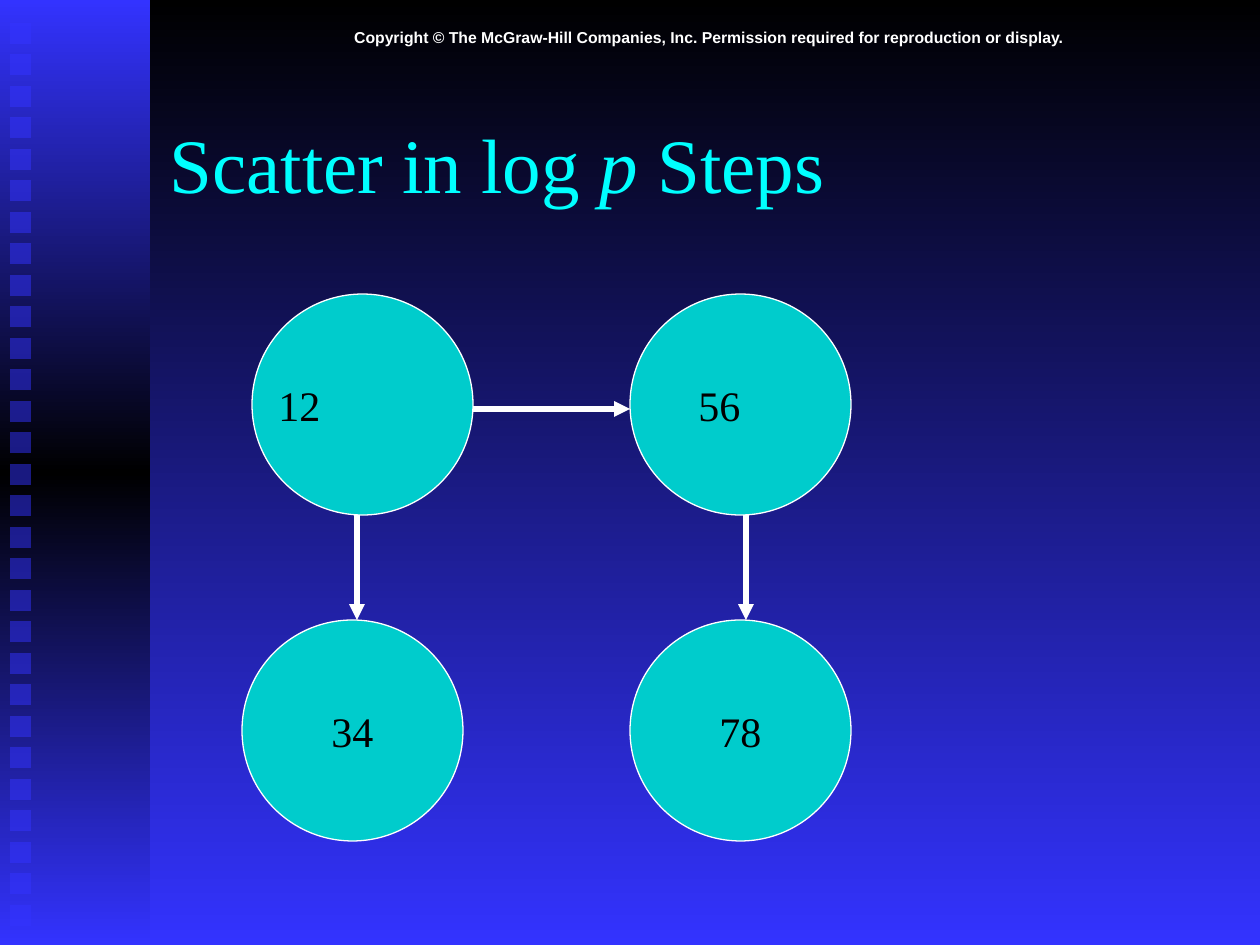
from copy import deepcopy
from dataclasses import dataclass

from lxml.etree import SubElement
from pptx import Presentation
from pptx.dml.color import RGBColor as RGB
from pptx.enum.shapes import MSO_CONNECTOR as CONNECTOR, MSO_SHAPE as SHAPE
from pptx.enum.text import MSO_ANCHOR as ANCHOR, MSO_AUTO_SIZE as AUTO_SIZE, PP_ALIGN as ALIGN
from pptx.oxml.ns import qn
from pptx.util import Pt

EMU_PER_PX = 914400 / 126


@dataclass(frozen=True)
class Theme:
    """Colours, fonts and point sizes of the slide."""

    blue: RGB = RGB(0x33, 0x33, 0xFF)
    black: RGB = RGB(0, 0, 0)
    white: RGB = RGB(0xFF, 0xFF, 0xFF)
    cyan: RGB = RGB(0, 0xFF, 0xFF)
    teal: RGB = RGB(0, 0xCC, 0xCC)
    serif: str = "Times New Roman"
    sans: str = "Arial"
    title: int = 44
    label: int = 24
    notice: int = 9


THEME = Theme()


def px(*values):
    """Convert pixel lengths to EMU."""
    return [round(v * EMU_PER_PX) for v in values]


def style(p, font, size, color, bold=False):
    """Format every run of a paragraph."""
    for r in p.runs:
        r.font.name, r.font.size, r.font.bold = font, Pt(size), bold
        r.font.color.rgb = color


def set_insets(tf, left=0, top=0, right=0, bottom=0):
    """Set the text margins in pixels."""
    tf.margin_left, tf.margin_top, tf.margin_right, tf.margin_bottom = px(left, top, right, bottom)


def fill_gradient(fill, element, colors):
    """Apply a top-to-bottom gradient with evenly spaced stops."""
    fill.gradient()
    fill.gradient_angle = 270
    stops = next(element.iter(qn("a:gsLst")))
    for _ in colors[2:]:
        stops.append(deepcopy(stops[-1]))
    for i, (stop, color) in enumerate(zip(fill.gradient_stops, colors)):
        stop.position = i / (len(colors) - 1)
        stop.color.rgb = color


def add_plain_shape(slide, kind, box):
    """Add a preset shape without shadow."""
    s = slide.shapes.add_shape(kind, *px(*box))
    s.shadow.inherit = False
    return s


def add_sidebar(slide, box):
    """Draw the gradient band and its column of translucent squares."""
    x, y, _, _ = box
    band = add_plain_shape(slide, SHAPE.RECTANGLE, box)
    fill_gradient(band.fill, band._element, [THEME.blue, THEME.black, THEME.blue])
    band.line.fill.background()
    for i in range(29):
        s = add_plain_shape(slide, SHAPE.RECTANGLE, (x + 10, y + 23 + i * 63 // 2, 21, 21))
        s.fill.solid()
        s.fill.fore_color.rgb = THEME.blue
        color = next(s._element.spPr.iter(qn("a:srgbClr")))
        SubElement(color, qn("a:alpha"), val="50000")
        s.line.fill.background()


def add_notice(slide, box, text):
    """Place the centred copyright line."""
    tf = slide.shapes.add_textbox(*px(*box)).text_frame
    tf.word_wrap = True
    tf.vertical_anchor = ANCHOR.MIDDLE
    set_insets(tf)
    tf.text = text
    p = tf.paragraphs[0]
    p.alignment = ALIGN.CENTER
    style(p, THEME.sans, THEME.notice, THEME.white, bold=True)


def add_title(slide, box, parts):
    """Fill the title placeholder with upright and italic parts."""
    s = slide.shapes.title
    s.left, s.top, s.width, s.height = px(*box)
    tf = s.text_frame
    tf.auto_size = AUTO_SIZE.NONE
    tf.vertical_anchor = ANCHOR.MIDDLE
    p = tf.paragraphs[0]
    p.alignment = ALIGN.LEFT
    for text, italic in parts:
        r = p.add_run()
        r.text = text
        r.font.italic = italic
    style(p, THEME.serif, THEME.title, THEME.cyan)


def add_node(slide, box, text, shift):
    """Draw a circle whose label sits shift pixels left of its centre."""
    s = add_plain_shape(slide, SHAPE.OVAL, box)
    s.fill.solid()
    s.fill.fore_color.rgb = THEME.teal
    s.line.color.rgb = THEME.white
    s.line.width = Pt(0.75)
    tf = s.text_frame
    tf.word_wrap = False
    tf.vertical_anchor = ANCHOR.MIDDLE
    set_insets(tf, top=6, right=2 * shift, bottom=6)
    tf.text = text
    p = tf.paragraphs[0]
    p.alignment = ALIGN.CENTER
    style(p, THEME.serif, THEME.label, THEME.black)


def add_arrow(slide, *ends):
    """Draw a white arrow between two points."""
    s = slide.shapes.add_connector(CONNECTOR.STRAIGHT, *px(*ends))
    s.line.color.rgb = THEME.white
    s.line.width = Pt(3)
    SubElement(s.line._get_or_add_ln(), qn("a:tailEnd"), type="triangle")
    SubElement(s._element.spPr, qn("a:effectLst"))


def add_scatter(slide, box):
    """Draw the four processes and the messages between them."""
    x, y, _, height = box
    d = 221
    low = height - d
    add_arrow(slide, x + 231, y + 115, x + 388, y + 115)
    for dx in (115, 504):
        add_arrow(slide, x + dx, y + d, x + dx, y + low)
    nodes = [("56", 388, 0, 21), ("12", 10, 0, 63), ("78", 388, low, 0), ("34", 0, low, 0)]
    for text, dx, dy, shift in nodes:
        add_node(slide, (x + dx, y + dy, d, d), text, shift)


def main():
    """Build and save the slide."""
    prs = Presentation()
    prs.slide_width, prs.slide_height = px(1260, 945)
    slide = prs.slides.add_slide(prs.slide_layouts[5])
    fill_gradient(slide.background.fill, slide._element, [THEME.black, THEME.blue])
    add_sidebar(slide, (0, 0, 150, 945))
    add_notice(slide, (157, 21, 1103, 32),
               "Copyright © The McGraw-Hill Companies, Inc. "
               "Permission required for reproduction or display.")
    add_title(slide, (157, 84, 1071, 158),
              [("Scatter in log ", False), ("p", True), (" Steps", False)])
    add_scatter(slide, (242, 294, 609, 547))
    prs.save("out.pptx")


if __name__ == "__main__":
    main()
